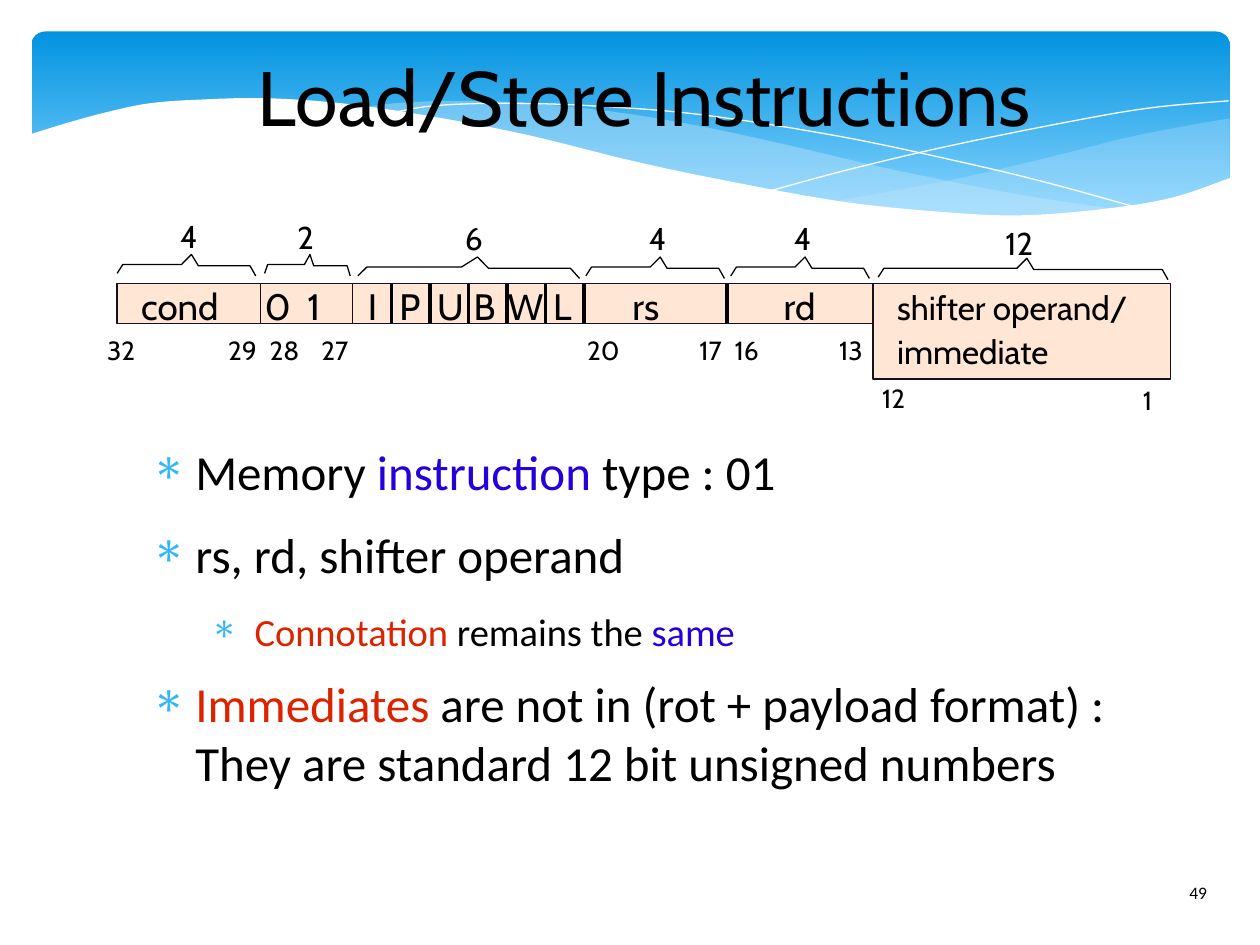
import pptx
import pptx.util
import pptx.dml.color
import pptx.enum.shapes
import pptx.enum.text
import pptx.oxml
import pptx.oxml.ns
import lxml.etree

Pt = pptx.util.Pt
RGB = pptx.dml.color.RGBColor.from_string
KIND = pptx.enum.shapes.MSO_SHAPE
ANCHOR = pptx.enum.text.MSO_ANCHOR
ALIGN = pptx.enum.text.PP_ALIGN
FIT = pptx.enum.text.MSO_AUTO_SIZE
qn = pptx.oxml.ns.qn

# Grid: 100 columns by 75 rows, one tenth of an inch each
COLS, ROWS = 100, 75
UNIT = pptx.util.Inches(0.1)

THEME = dict(
    head="Cabin", text="Calibri", ink="000000", edge="15111D", cell="FFE6D5",
    white="FFFFFF", mist="C6E7FC", blue="2300DC", red="DC2300", mark="31B6FD",
    sky=((0, "0293E0"), (0.9, "83D3FE")),
    title=44, body=28, sub=22, name=21, note=19, count=18, bit=15, page=10)


def emu(*vals):
    return [round(v * UNIT) for v in vals]


def apply(obj, fmt):
    for key, val in fmt.items():
        setattr(obj, key, val)


def sub(parent, tag, **attrs):
    node = lxml.etree.SubElement(parent, qn(tag))
    for key, val in attrs.items():
        node.set(key, str(val))
    return node


def paint(shape, fill=None, line=None, alpha=None):
    shape.shadow.inherit = False
    if fill:
        shape.fill.solid()
        shape.fill.fore_color.rgb = RGB(fill)
    else:
        shape.fill.background()
    if alpha:
        color = shape.fill._xPr.find(qn("a:solidFill"))[0]
        sub(color, "a:alpha", val=alpha * 1000)
    if line:
        shape.line.color.rgb = RGB(line)
        shape.line.width = Pt(0)
    else:
        shape.line.fill.background()


def write(par, text, size, face="head", color="ink"):
    run = par.add_run()
    run.text = text
    apply(run.font, dict(size=Pt(size), name=THEME[face]))
    run.font.color.rgb = RGB(THEME[color])


def frame(slide, box, inset=0, **fmt):
    tf = slide.shapes.add_textbox(*emu(*box)).text_frame
    sides = ("left", "top", "right", "bottom")
    apply(tf, {"margin_" + side: round(inset * UNIT) for side in sides})
    apply(tf, dict(dict(word_wrap=True), **fmt))
    return tf


def label(slide, text, x, y, w, kind):
    size = THEME[kind]
    tf = frame(slide, (x, y, w, size * 0.186), word_wrap=False,
               auto_size=FIT.SHAPE_TO_FIT_TEXT)
    write(tf.paragraphs[0], text, size)


def outline(slide, box, pts, close=False, **look):
    pts = [emu(box[0] + x, box[1] + y) for x, y in pts]
    draft = slide.shapes.build_freeform(*pts[0], scale=1.0)
    draft.add_line_segments(pts[1:], close=close)
    paint(draft.convert_to_shape(), **look)


def smooth(knots, steps=6):
    """Points on a spline that passes through the knots."""
    ends = [knots[0], *knots, knots[-1]]
    out = []
    for a, b, c, d in zip(ends, ends[1:], ends[2:], ends[3:]):
        for i in range(steps):
            t = i / steps
            out.append(tuple(
                q + t * (r - p) / 2 + t * t * (2 * p - 5 * q + 4 * r - s) / 2
                + t ** 3 * (3 * q - p - 3 * r + s) / 2
                for p, q, r, s in zip(a, b, c, d)))
    return out + [knots[-1]]


def banner(slide, box):
    """Blue panel with waves; points are in units from its corner."""
    panel = slide.shapes.add_shape(KIND.ROUNDED_RECTANGLE, *emu(*box))
    panel.adjustments[0] = 0.07
    paint(panel)
    panel.fill.gradient()
    panel.fill.gradient_angle = 270
    for stop, (pos, color) in zip(panel.fill.gradient_stops, THEME["sky"]):
        stop.position = pos
        stop.color.rgb = RGB(color)

    right = [(95.1, 6.9), (91, 7.6), (86.6, 8.5), (80.7, 10), (72.9, 11.8), (63.6, 13.5)]
    below = [(63.6, 13.5), (69.4, 14.2), (74.5, 14.6), (79.9, 14.7), (84.7, 14.4),
             (88.8, 13.7), (92.4, 12.7), (95.1, 11.6)]
    crest = [(86.8, 14.2), (78.2, 12.9), (68.1, 10.9), (60.4, 9.1), (53, 7.5),
             (46.4, 6.4), (39.5, 5.7), (33.6, 5.5), (28.8, 5.7), (26.1, 6.1)]
    under = [(26.1, 6.1), (31.7, 6.9), (37.9, 8.1), (46.6, 10.1), (55.9, 12.1),
             (64, 13.6), (71.1, 14.5), (77.1, 14.8), (82.3, 14.7), (86.8, 14.2)]
    for edges, alpha in (((right, below), 29), ((crest, under), 40)):
        pts = [pt for edge in edges for pt in smooth(edge)]
        outline(slide, box, pts, True, fill=THEME["mist"], alpha=alpha)

    # Thin white arcs
    for arc in ([(28.4, 6.5), (31.9, 5.9), (37.6, 5.7), (44.4, 5.9), (53.1, 6.6),
                 (64, 8.3), (73.5, 10.3), (80.6, 12), (88.2, 14.1)],
                [(58.8, 12.6), (64.7, 11), (72.3, 9.2), (81.1, 7.4), (88.5, 6.1),
                 (95, 5.5)]):
        outline(slide, box, smooth(arc), line=THEME["white"])

    # White lower edge
    edge = [(95.2, 11.6), (90.5, 13.2), (85, 14.1), (78.4, 14.6), (71.9, 14.3),
            (64.3, 13.5), (55.4, 11.9), (47.8, 10.3), (39.3, 8.2), (31.5, 6.7),
            (24.6, 5.7), (18.6, 5.3), (13.6, 5.4), (9.4, 5.7), (6, 6.4), (2.7, 7.3),
            (-0.2, 8.2)]
    outline(slide, box, smooth(edge) + [(-0.2, 19.9), (95.2, 19.9)], True,
            fill=THEME["white"])


def title(slide, box, text):
    tf = frame(slide, box, vertical_anchor=ANCHOR.MIDDLE)
    tf.paragraphs[0].alignment = ALIGN.CENTER
    write(tf.paragraphs[0], text, THEME["title"])


def brace(slide, x, y, w, peak, k=1):
    outline(slide, (x, y), [
        (0, 1.5), (0.45 * k, 0.8), (peak - 0.8 * k, 0.8), (peak, 0),
        (peak + 0.55 * k, 0.9), (w - 0.45 * k, 0.9), (w, 1.7)], line=THEME["ink"])


def layout(slide, box):
    """Instruction word: cells, dividers, braces, names and bit numbers."""
    left, top = box[:2]
    row, high = top + 5.3, 3.2

    for x, w, h in ((0, 11.4, high), (11.4, 7.3, high), (60, 23.6, 7.6),
                    (18.7, 41.3, high)):
        cell = slide.shapes.add_shape(KIND.RECTANGLE, *emu(left + x, row, w, h))
        paint(cell, THEME["cell"], THEME["edge"])

    step = 3.06
    for x in [18.7 + step * i for i in range(1, 7)] + [48.4]:
        line = slide.shapes.add_connector(
            pptx.enum.shapes.MSO_CONNECTOR.STRAIGHT,
            *emu(left + x, row, left + x, row + 3.15))
        line.line.color.rgb = RGB(THEME["ink"])
        line.line.width = Pt(0)
        sub(line._element.spPr, "a:effectLst")

    for x, y, w, peak, k in (
            (0, 3, 11, 5.9, 1), (11.7, 3, 6.8, 3.6, 0.55), (19.1, 3.2, 17.6, 9.5, 1.6),
            (37.2, 3.2, 11, 5.9, 1), (48.7, 3.2, 11, 5.9, 1), (60.4, 3.3, 23, 11.8, 1)):
        brace(slide, left + x, top + y, w, peak, k)

    parts = dict(
        count=[("4", 5, 0, 2.6), ("2", 14.3, 0.1, 2.6), ("6", 27.6, 0.2, 2.6),
               ("4", 42.2, 0.2, 2.6), ("4", 53.7, 0.2, 2.6), ("12", 70.5, 0.6, 4.1)],
        name=[(text, x, 5.3, w) for text, x, w in (
            ("cond", 1.9, 7.6), ("0\u00a0 1", 11.7, 6.1), ("I", 19.9, 2.1),
            ("P", 22.4, 3.2), ("U", 25.4, 3.4), ("B", 28.3, 3.2), ("W", 31, 4),
            ("L", 34.6, 2.9), ("rs", 40.9, 3.7), ("rd", 52.9, 3.9))],
        note=[("shifter operand/", 61.9, 5.6, 19.6), ("immediate", 61.9, 9.1, 13.4)],
        bit=[(text, x, 9.3, 3.2) for text, x in (
            ("32", -0.8), ("29", 8.8), ("28", 12.1), ("27", 16.2), ("20", 37.3),
            ("17", 46.2), ("16", 49), ("13", 57.3))]
        + [("12", 60.7, 13.1, 3.2), ("1", 81.4, 13.3, 2.1)])
    for kind, items in parts.items():
        for text, x, y, w in items:
            label(slide, text, left + x, top + y, w, kind)


def bullets(slide, box, items):
    tf = frame(slide, box)
    for i, (level, runs) in enumerate(items):
        par = tf.add_paragraph() if i else tf.paragraphs[0]
        apply(par, dict(level=level, space_after=Pt((14.1, 11.3)[level])))
        prop = par._p.get_or_add_pPr()
        prop.set("marL", str(emu(4.7 * (level + 1))[0]))
        prop.set("indent", str(emu(-3.5)[0]))
        sub(sub(prop, "a:buClr"), "a:srgbClr", val=THEME["mark"])
        sub(prop, "a:buChar", char="\u2217")
        for text, color in runs:
            write(par, text, THEME[("body", "sub")[level]], "text", color)


def number(slide, box, text):
    tf = frame(slide, box, margin_left=UNIT, margin_top=UNIT // 2)
    write(tf.paragraphs[0], text, THEME["page"], "text")


deck = pptx.Presentation()
apply(deck, dict(slide_width=COLS * UNIT, slide_height=ROWS * UNIT))
page = deck.slides.add_slide(deck.slide_layouts[6])
banner(page, (2.5, 2.5, 95.1, 15.6))
number(page, (93.4, 69.5, 6.1, 4), "49")
title(page, (10.6, 2.5, 81.1, 10.2), "Load/Store Instructions")
bullets(page, (10.8, 35, 81.1, 28.2), [
    (0, [("Memory ", "ink"), ("instruction", "blue"), (" type\u00a0: 01", "ink")]),
    (0, [("rs, rd, shifter operand", "ink")]),
    (1, [("Connotation", "red"), (" remains the ", "ink"), ("same", "blue")]),
    (0, [("Immediates", "red"),
         (" are not in (rot + payload format)\u00a0: They are standard 12 bit "
          "unsigned numbers", "ink")])])
layout(page, (9.3, 17.2, 83.6, 16))
deck.save("out.pptx")
